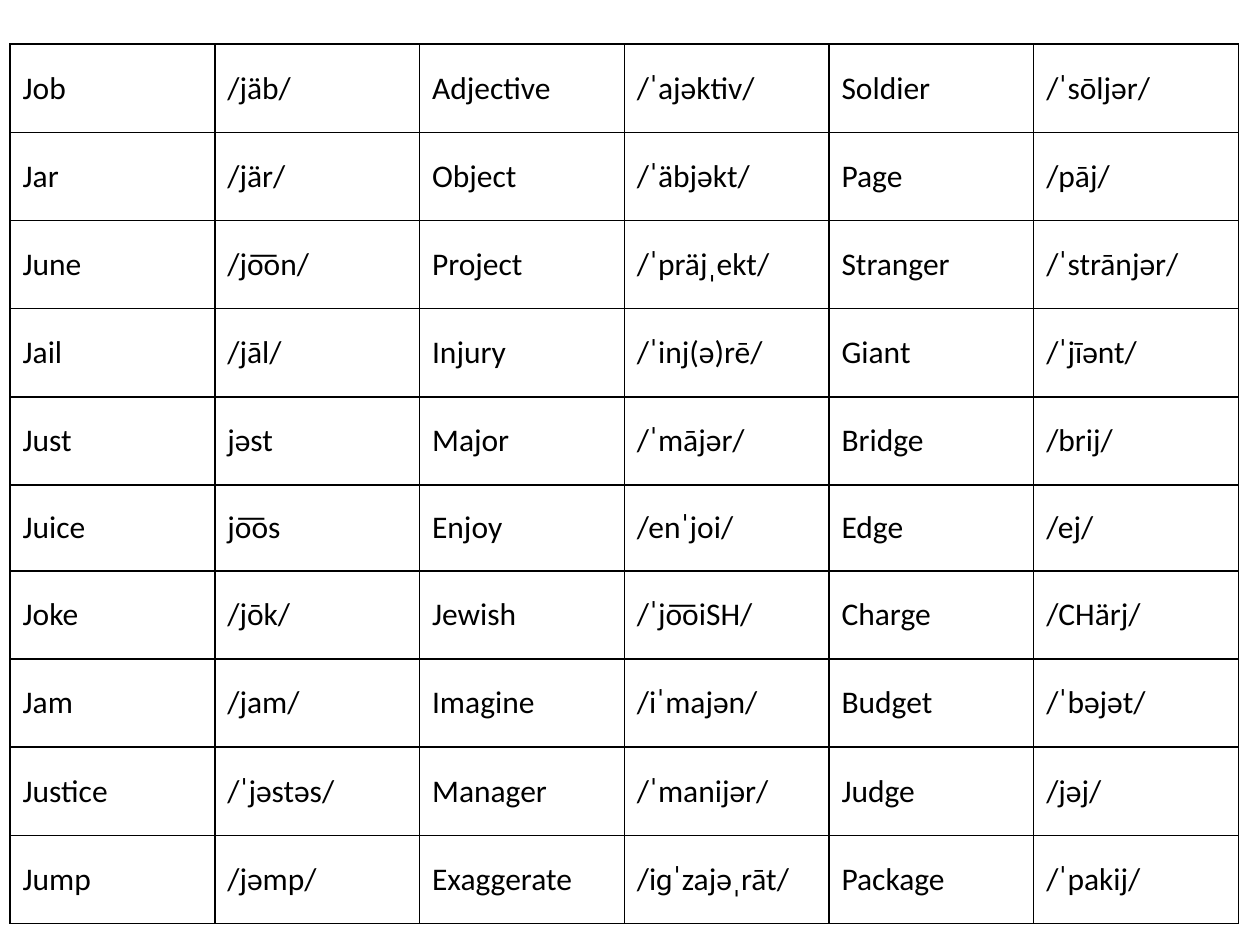
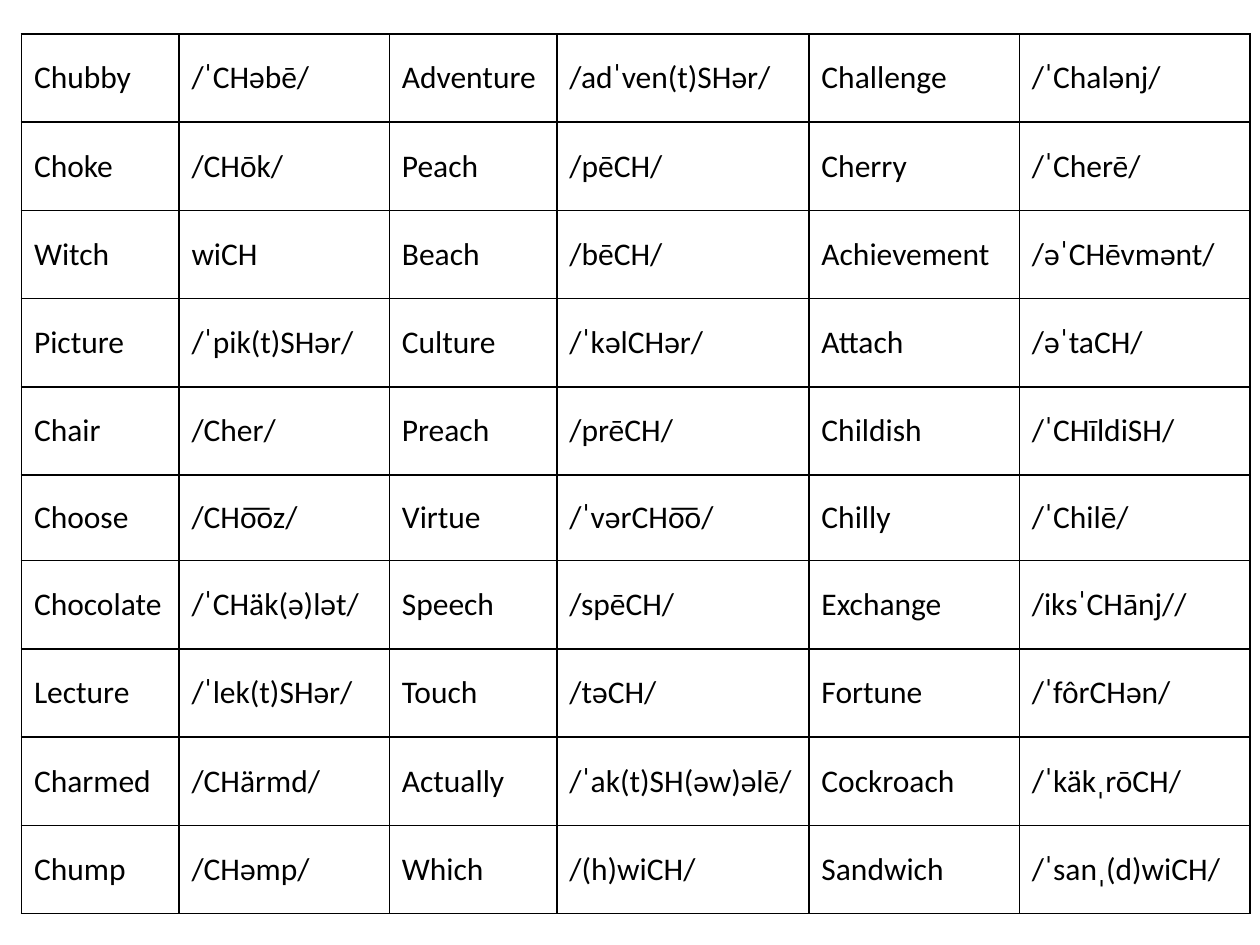
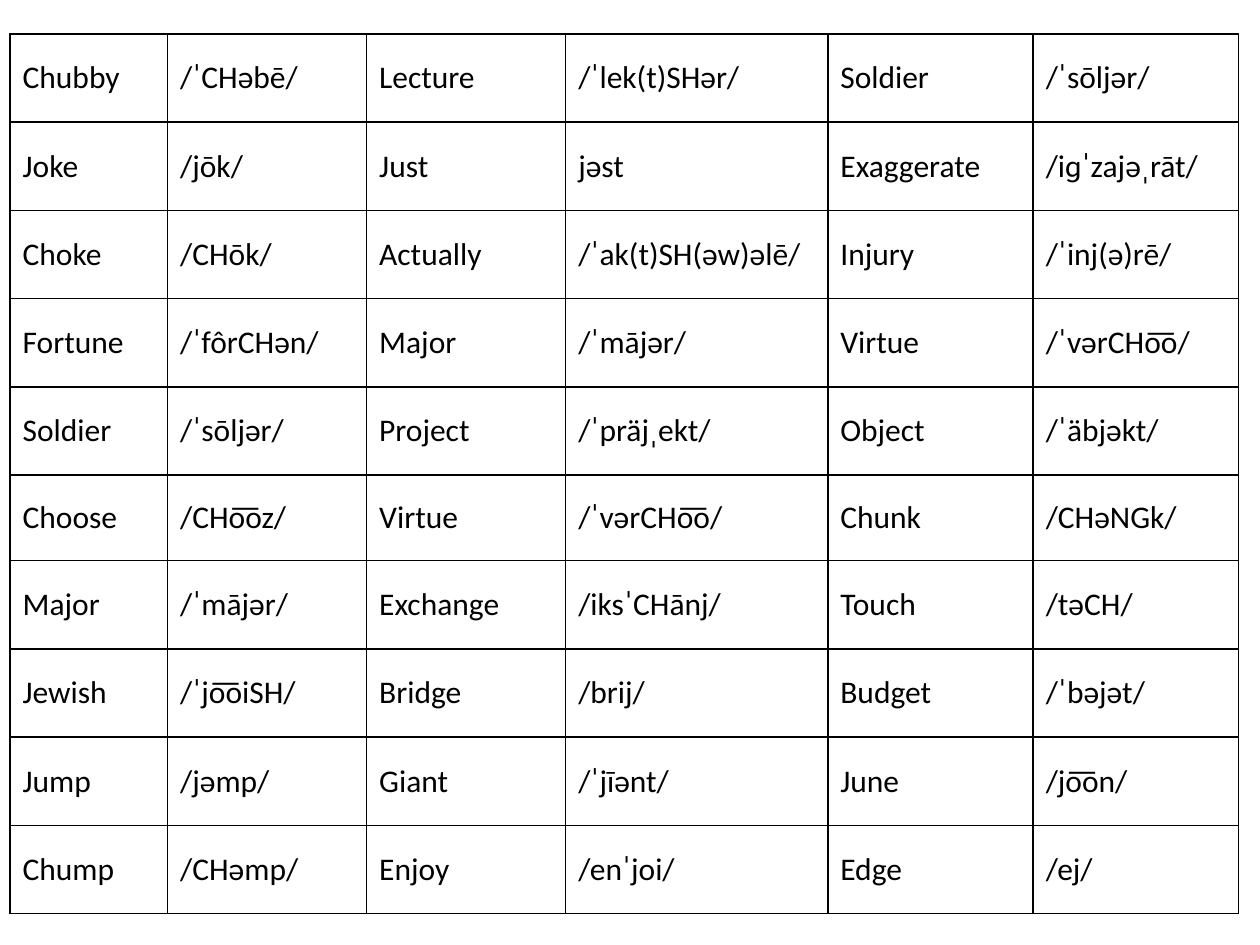
from lxml import etree
from pptx import Presentation
from pptx.dml.color import RGBColor
from pptx.enum.text import MSO_ANCHOR
from pptx.oxml.ns import qn
from pptx.util import Inches, Pt

MIDDLE = MSO_ANCHOR.MIDDLE
FONT = "Calibri"
TEXT_SIZE = 18
BLACK = "000000"
BORDER_WIDTH = 1
ROW_HEIGHTS = [0.7] * 5 + [0.68] + [0.7] * 4

J_WORDS = [
    ("Job", "/jäb/", "Adjective", "/ˈajəktiv/", "Soldier", "/ˈsōljər/"),
    ("Jar", "/jär/", "Object", "/ˈäbjəkt/", "Page", "/pāj/"),
    ("June", "/jo͞on/", "Project", "/ˈpräjˌekt/", "Stranger", "/ˈstrānjər/"),
    ("Jail", "/jāl/", "Injury", "/ˈinj(ə)rē/", "Giant", "/ˈjīənt/"),
    ("Just", "jəst", "Major", "/ˈmājər/", "Bridge", "/brij/"),
    ("Juice", "jo͞os", "Enjoy", "/enˈjoi/", "Edge", "/ej/"),
    ("Joke", "/jōk/", "Jewish", "/ˈjo͞oiSH/", "Charge", "/CHärj/"),
    ("Jam", "/jam/", "Imagine", "/iˈmajən/", "Budget", "/ˈbəjət/"),
    ("Justice", "/ˈjəstəs/", "Manager", "/ˈmanijər/", "Judge", "/jəj/"),
    ("Jump", "/jəmp/", "Exaggerate", "/iɡˈzajəˌrāt/", "Package", "/ˈpakij/"),
]
CH_WORDS = [
    ("Chubby", "/ˈCHəbē/", "Adventure", "/adˈven(t)SHər/", "Challenge", "/ˈChalənj/"),
    ("Choke", "/CHōk/", "Peach", "/pēCH/", "Cherry", "/ˈCherē/"),
    ("Witch", "wiCH", "Beach", "/bēCH/", "Achievement", "/əˈCHēvmənt/"),
    ("Picture", "/ˈpik(t)SHər/", "Culture", "/ˈkəlCHər/", "Attach", "/əˈtaCH/"),
    ("Chair", "/Cher/", "Preach", "/prēCH/", "Childish", "/ˈCHīldiSH/"),
    ("Choose", "/CHo͞oz/", "Virtue", "/ˈvərCHo͞o/", "Chilly", "/ˈChilē/"),
    ("Chocolate", "/ˈCHäk(ə)lət/", "Speech", "/spēCH/", "Exchange", "/iksˈCHānj//"),
    ("Lecture", "/ˈlek(t)SHər/", "Touch", "/təCH/", "Fortune", "/ˈfôrCHən/"),
    ("Charmed", "/CHärmd/", "Actually", "/ˈak(t)SH(əw)əlē/", "Cockroach", "/ˈkäkˌrōCH/"),
    ("Chump", "/CHəmp/", "Which", "/(h)wiCH/", "Sandwich", "/ˈsanˌ(d)wiCH/"),
]
MIXED_WORDS = [
    ("Chubby", "/ˈCHəbē/", "Lecture", "/ˈlek(t)SHər/", "Soldier", "/ˈsōljər/"),
    ("Joke", "/jōk/", "Just", "jəst", "Exaggerate", "/iɡˈzajəˌrāt/"),
    ("Choke", "/CHōk/", "Actually", "/ˈak(t)SH(əw)əlē/", "Injury", "/ˈinj(ə)rē/"),
    ("Fortune", "/ˈfôrCHən/", "Major", "/ˈmājər/", "Virtue", "/ˈvərCHo͞o/"),
    ("Soldier", "/ˈsōljər/", "Project", "/ˈpräjˌekt/", "Object", "/ˈäbjəkt/"),
    ("Choose", "/CHo͞oz/", "Virtue", "/ˈvərCHo͞o/", "Chunk", "/CHəNGk/"),
    ("Major", "/ˈmājər/", "Exchange", "/iksˈCHānj/", "Touch", "/təCH/"),
    ("Jewish", "/ˈjo͞oiSH/", "Bridge", "/brij/", "Budget", "/ˈbəjət/"),
    ("Jump", "/jəmp/", "Giant", "/ˈjīənt/", "June", "/jo͞on/"),
    ("Chump", "/CHəmp/", "Enjoy", "/enˈjoi/", "Edge", "/ej/"),
]

WORD_TABLES = [
    (0.08, 0.35, [1.625] * 6, J_WORDS),
    (0.17, 0.27, [1.25, 1.67, 1.33, 2, 1.67, 1.83], CH_WORDS),
    (0.08, 0.27, [1.25, 1.58, 1.58, 2.08, 1.63, 1.63], MIXED_WORDS),
]


def rgb(color):
    return RGBColor.from_string(color)


def add_borders(cell, color, width):
    tc_pr = cell._tc.get_or_add_tcPr()
    for side in ("a:lnL", "a:lnR", "a:lnT", "a:lnB"):
        ln = etree.SubElement(tc_pr, qn(side), w=str(Pt(width)))
        fill = etree.SubElement(ln, qn("a:solidFill"))
        etree.SubElement(fill, qn("a:srgbClr"), val=color)


prs = Presentation()
prs.slide_width = Inches(10)
prs.slide_height = Inches(7.5)

for left, top, col_widths, words in WORD_TABLES:
    s = prs.slides.add_slide(prs.slide_layouts[6])
    table = s.shapes.add_table(
        len(words), len(col_widths), Inches(left), Inches(top),
        Inches(sum(col_widths)), Inches(sum(ROW_HEIGHTS)),
    ).table
    table.first_row = False
    table.horz_banding = False
    for column, width in zip(table.columns, col_widths):
        column.width = Inches(width)
    for row, height, texts in zip(table.rows, ROW_HEIGHTS, words):
        row.height = Inches(height)
        for cell, text in zip(row.cells, texts):
            add_borders(cell, BLACK, BORDER_WIDTH)
            cell.fill.background()
            cell.vertical_anchor = MIDDLE
            p = cell.text_frame.paragraphs[0]
            p.text = text
            font = p.runs[0].font
            font.name = FONT
            font.size = Pt(TEXT_SIZE)
            font.color.rgb = rgb(BLACK)

prs.save("out.pptx")
